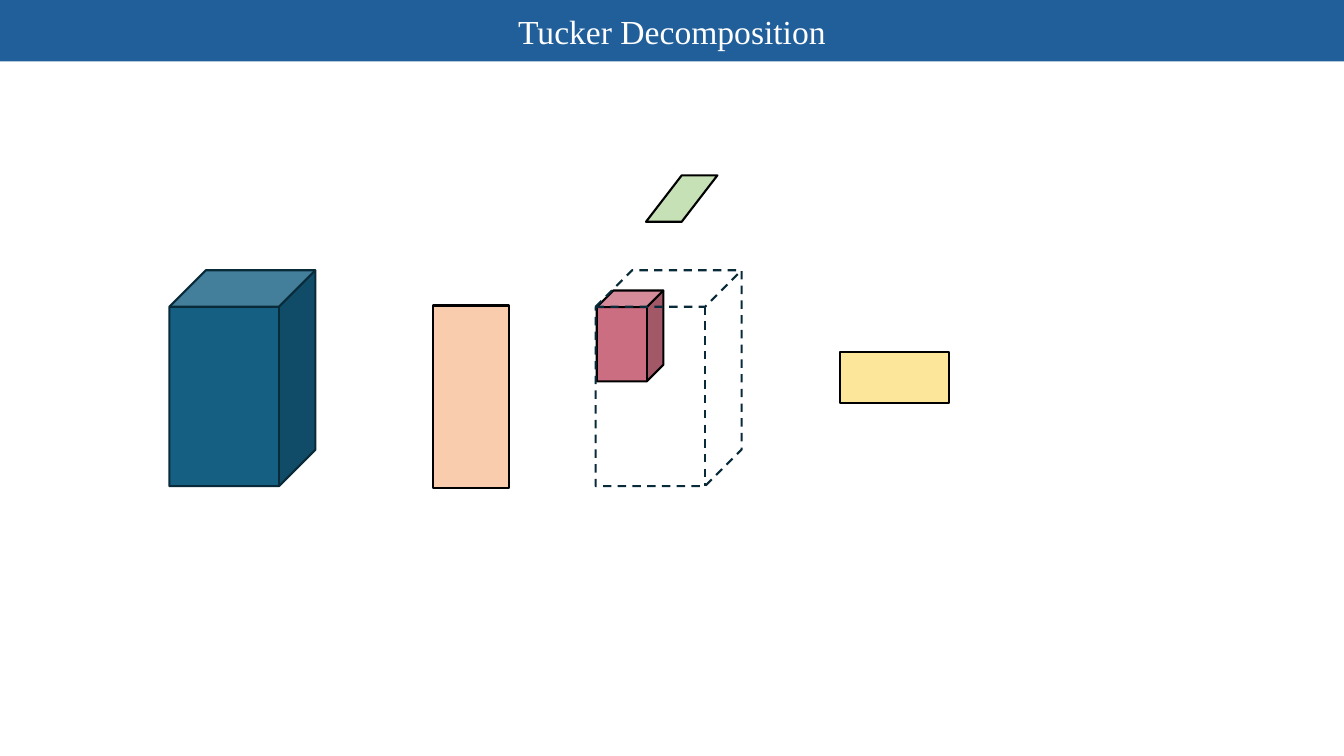
"""Build the Tucker decomposition slide: a tensor, its core and three factor matrices."""
import pptx
import pptx.util
import pptx.dml.color
import pptx.enum.dml
import pptx.enum.shapes
import pptx.enum.text

Cm = pptx.util.Cm
Pt = pptx.util.Pt
kinds = pptx.enum.shapes.MSO_SHAPE

colours = {
    "banner": "215F9A",
    "title": "FFFFFF",
    "tensor": "156082",
    "tensor edge": "092A39",
    "core": "CC6E82",
    "row factor": "F9CCAD",
    "column factor": "FCE69A",
    "depth factor": "C6E1B5",
    "edge": "000000",
}


def colour(name):
    return pptx.dml.color.RGBColor.from_string(colours[name])


def add_block(page, kind, place, fill, edge):
    block = page.shapes.add_shape(kind, *[Cm(length) for length in place])
    block.shadow.inherit = False
    if fill:
        block.fill.solid()
        block.fill.fore_color.rgb = colour(fill)
    else:
        block.fill.background()
    if edge:
        block.line.color.rgb = colour(edge)
        block.line.width = Pt(1.5)
    else:
        block.line.fill.background()
    return block


deck = pptx.Presentation()
deck.slide_width = Cm(33.87)
deck.slide_height = Cm(19.05)
page = deck.slides.add_slide(deck.slide_layouts[6])

banner = add_block(page, kinds.RECTANGLE, (0, 0, 33.87, 1.55), "banner", None)
banner.text_frame.vertical_anchor = pptx.enum.text.MSO_ANCHOR.MIDDLE
para = banner.text_frame.paragraphs[0]
para.alignment = pptx.enum.text.PP_ALIGN.CENTER
span = para.add_run()
span.text = "Tucker Decomposition"
for name, value in {"name": "Times New Roman", "size": Pt(24)}.items():
    setattr(span.font, name, value)
span.font.color.rgb = colour("title")

tensor_top, tensor_width, tensor_height = 6.81, 3.68, 5.44
tensor_size = (tensor_width, tensor_height)

add_block(page, kinds.CUBE, (4.27, tensor_top, *tensor_size), "tensor", "tensor edge")
add_block(page, kinds.CUBE, (15.04, 7.32, 1.68, 2.29), "core", "edge")
outline = add_block(page, kinds.CUBE, (15.01, tensor_top, *tensor_size), None, "tensor edge")
outline.line.dash_style = pptx.enum.dml.MSO_LINE.DASH

factors = [
    ("row factor", kinds.RECTANGLE, (10.92, 7.7, 1.91, 4.6)),
    ("column factor", kinds.RECTANGLE, (21.18, 8.86, 2.74, 1.3)),
    ("depth factor", kinds.PARALLELOGRAM, (16.28, 4.42, 1.8, 1.17)),
]
for fill, kind, place in factors:
    factor = add_block(page, kind, place, fill, "edge")
    if kind == kinds.PARALLELOGRAM:
        factor.adjustments[0] = 0.77

deck.save("out.pptx")
